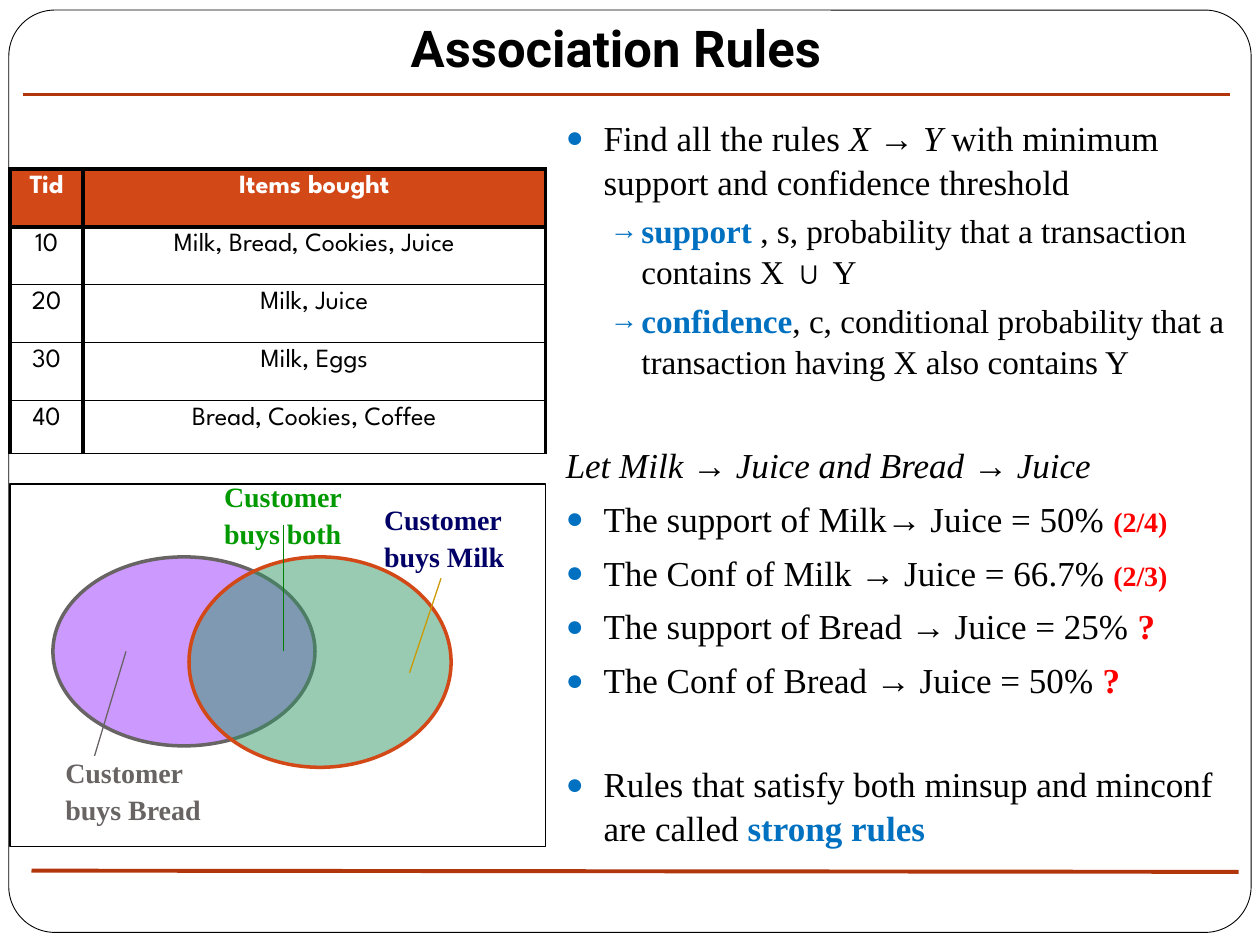
from dataclasses import dataclass

from lxml import etree
from pptx import Presentation
from pptx import util as u
from pptx.dml.color import RGBColor
from pptx.enum import shapes, text
from pptx.oxml import ns

COLORS = {
    "black": "000000", "white": "FFFFFF", "blue": "0070C0", "red": "FF0000",
    "orange": "D34817", "rule": "B1360B", "gray": "696464", "purple": "CC99FF",
    "teal": "339966", "navy": "000066", "green": "009900",
    "dark_green": "008000", "gold": "CC9900",
}
SERIF, TITLE_FONT, TABLE_FONT = "Times New Roman", "Roboto", "League Spartan"


def rgb(color):
    return RGBColor.from_string(COLORS[color])


def child(parent, tag, **attributes):
    return etree.SubElement(parent, ns.qn(tag), attributes)


def write(paragraph, words, size=20, color="black", bold=False, italic=False, font=SERIF):
    run = paragraph.add_run()
    run.text = words
    run.font.size = u.Pt(size)
    run.font.color.rgb = rgb(color)
    run.font.bold = bold
    run.font.italic = italic
    run.font.name = font


@dataclass
class Deck:
    slide: object
    canvas: object
    line_spacing: float = 1.04

    def shape(self, kind, box, line, width, fill=None, alpha=None):
        shape = self.canvas.add_shape(kind, *map(u.Inches, box))
        shape.shadow.inherit = False
        shape.line.color.rgb = rgb(line)
        shape.line.width = u.Pt(width)
        if fill:
            shape.fill.solid()
            shape.fill.fore_color.rgb = rgb(fill)
        else:
            shape.fill.background()
        if alpha:
            tint = next(shape.element.spPr.iter(ns.qn("a:srgbClr")))
            child(tint, "a:alpha", val=str(alpha * 1000))
        return shape

    def frame(self):
        frame = self.shape(shapes.MSO_SHAPE.ROUNDED_RECTANGLE,
                           (0.07, 0.08, 9.86, 7.32), "black", 0.5, "white")
        frame.adjustments[0] = 0.05
        frame.element.getparent().insert(2, frame.element)

    def line(self, start, end, color, width=0.75):
        line = self.canvas.add_connector(shapes.MSO_CONNECTOR.STRAIGHT,
                                         *map(u.Inches, start + end))
        line.line.color.rgb = rgb(color)
        line.line.width = u.Pt(width)
        child(line.element.spPr, "a:effectLst")

    def label(self, box, lines, color, wrap=True):
        frame = self.canvas.add_textbox(*map(u.Inches, box)).text_frame
        frame.word_wrap = wrap
        frame.auto_size = text.MSO_AUTO_SIZE.SHAPE_TO_FIT_TEXT
        for index, words in enumerate(lines):
            paragraph = frame.add_paragraph() if index else frame.paragraphs[0]
            paragraph.line_spacing = 1.1
            write(paragraph, words, size=16, color=color, bold=True)

    def place(self, placeholder, box):
        placeholder.left, placeholder.top, placeholder.width, placeholder.height = map(u.Inches, box)
        placeholder.text_frame.auto_size = text.MSO_AUTO_SIZE.NONE
        return placeholder.text_frame

    def title(self, words):
        frame = self.place(self.slide.shapes.title, (0.39, 0.17, 9, 0.55))
        frame.vertical_anchor = text.MSO_ANCHOR.BOTTOM
        frame.margin_bottom = u.Inches(0.1)
        frame.paragraphs[0].alignment = text.PP_ALIGN.CENTER
        write(frame.paragraphs[0], words, size=29, bold=True, font=TITLE_FONT)

    def body(self, items):
        frame = self.place(self.slide.placeholders[1], (4.39, 0.44, 5.55, 7.06))
        frame.margin_top = u.Inches(0.47)
        for index, (level, bullet, before, runs) in enumerate(items):
            paragraph = frame.add_paragraph() if index else frame.paragraphs[0]
            paragraph.level = level
            paragraph.line_spacing = self.line_spacing
            paragraph.space_before = u.Pt(before if index else 0)
            self.bullet(paragraph, bullet, *((0.6, 0.25) if level else (0.3, 0.3)))
            for words, style in runs:
                write(paragraph, words, **{"size": 19 if level else 20, **style})

    def bullet(self, paragraph, mark, margin, hanging):
        props = paragraph._p.get_or_add_pPr()
        props.set("marL", str(u.Inches(margin)))
        props.set("indent", str(-u.Inches(hanging)))
        if mark:
            child(child(props, "a:buClr"), "a:srgbClr", val=COLORS["blue"])
            child(props, "a:buSzPct", val="85000")
            child(props, "a:buChar", char=mark)
        else:
            child(props, "a:buNone")

    def table(self, box, widths, heights, rows):
        table = self.canvas.add_table(len(rows), len(widths), *map(u.Inches, box)).table
        table.horz_banding = False
        for column, width in zip(table.columns, widths):
            column.width = u.Inches(width)
        for row, height in zip(table.rows, heights):
            row.height = u.Inches(height)
        for r, row in enumerate(rows):
            for c, words in enumerate(row):
                cell = table.cell(r, c)
                header = r == 0
                self.borders(cell, top=2.25 if r < 2 else 1, bottom=2.25 if header else 1)
                if header:
                    cell.fill.solid()
                    cell.fill.fore_color.rgb = rgb("orange")
                else:
                    cell.fill.background()
                paragraph = cell.text_frame.paragraphs[0]
                paragraph.alignment = text.PP_ALIGN.CENTER
                write(paragraph, words, size=15, bold=header, font=TABLE_FONT,
                      color="white" if header else "black")

    def borders(self, cell, top, bottom, side=2.25):
        props = cell._tc.get_or_add_tcPr()
        for edge, width in zip("LRTB", (side, side, top, bottom)):
            border = child(props, f"a:ln{edge}", w=str(u.Pt(width)))
            child(child(border, "a:solidFill"), "a:srgbClr", val=COLORS["black"])

    def venn(self):
        self.canvas = self.slide.shapes.add_group_shape().shapes
        oval = shapes.MSO_SHAPE.OVAL
        self.shape(oval, (0.42, 4.42, 2.08, 1.5), "gray", 2, "purple")
        self.shape(oval, (1.5, 4.42, 2.08, 1.67), "orange", 2, "teal", alpha=50)
        self.line((1, 5.17), (0.75, 6), "gray")
        self.line((3.25, 5.34), (3.5, 4.59), "gold")
        self.line((2.25, 5.17), (2.25, 4.17), "dark_green")
        self.label((2.95, 3.91, 1.33, 0.69), ("Customer", "buys Milk"), "navy")
        self.label((1.68, 3.73, 1.14, 0.69), ("Customer", "buys both"), "green")
        self.label((0.42, 5.92, 1.29, 0.69), ("Customer", "buys Bread"), "gray", wrap=False)
        self.shape(shapes.MSO_SHAPE.RECTANGLE, (0.08, 3.84, 4.25, 2.88), "black", 0.75)
        self.canvas = self.slide.shapes


def main():
    presentation = Presentation()
    presentation.slide_width, presentation.slide_height = u.Inches(10), u.Inches(7.5)
    slide = presentation.slides.add_slide(presentation.slide_layouts[1])
    deck = Deck(slide, slide.shapes)

    plain, italic = {}, {"italic": True}
    term = {"color": "blue", "bold": True}
    answer = {"color": "red", "bold": True}
    ratio = {**answer, "size": 16}
    dot, arrow = "●", "→"
    near, sub, far = 5.8, 3.8, 34.6

    deck.frame()
    deck.title("Association Rules")
    deck.body([
        (0, dot, near, [("Find all the rules ", plain), ("X ", italic), ("→ ", plain), ("Y ", italic),
                        ("with minimum support and confidence threshold", plain)]),
        (1, arrow, sub, [("support ", term),
                         (", s, probability that a transaction contains X ∪ Y", plain)]),
        (1, arrow, sub, [("confidence", term),
                         (", c, conditional probability that a transaction having X also contains Y", plain)]),
        (0, None, far, [("Let Milk → Juice and Bread → Juice", italic)]),
        (0, dot, near, [("The support of Milk→ Juice = 50% ", plain), ("(2/4)", ratio)]),
        (0, dot, near, [("The Conf of Milk → Juice = 66.7% ", plain), ("(2/3)", ratio)]),
        (0, dot, near, [("The support of Bread → Juice = 25% ", plain), ("?", answer)]),
        (0, dot, near, [("The Conf of Bread → Juice = 50% ", plain), ("?", answer)]),
        (0, dot, far, [("Rules that satisfy both minsup and minconf are called ", plain),
                       ("strong rules", term)]),
    ])
    deck.table((0.08, 1.34, 4.25, 2.26), (0.58, 3.67), (0.46,) * 4 + (0.42,), [
        ("Tid", "Items bought"),
        ("10", "Milk, Bread, Cookies, Juice"),
        ("20", "Milk, Juice"),
        ("30", "Milk, Eggs"),
        ("40", "Bread, Cookies, Coffee"),
    ])
    deck.venn()
    deck.line((0.18, 0.75), (9.76, 0.75), "rule", 2.25)
    deck.line((0.25, 6.91), (9.83, 6.92), "rule", 2.25)
    presentation.save("out.pptx")


if __name__ == "__main__":
    main()
